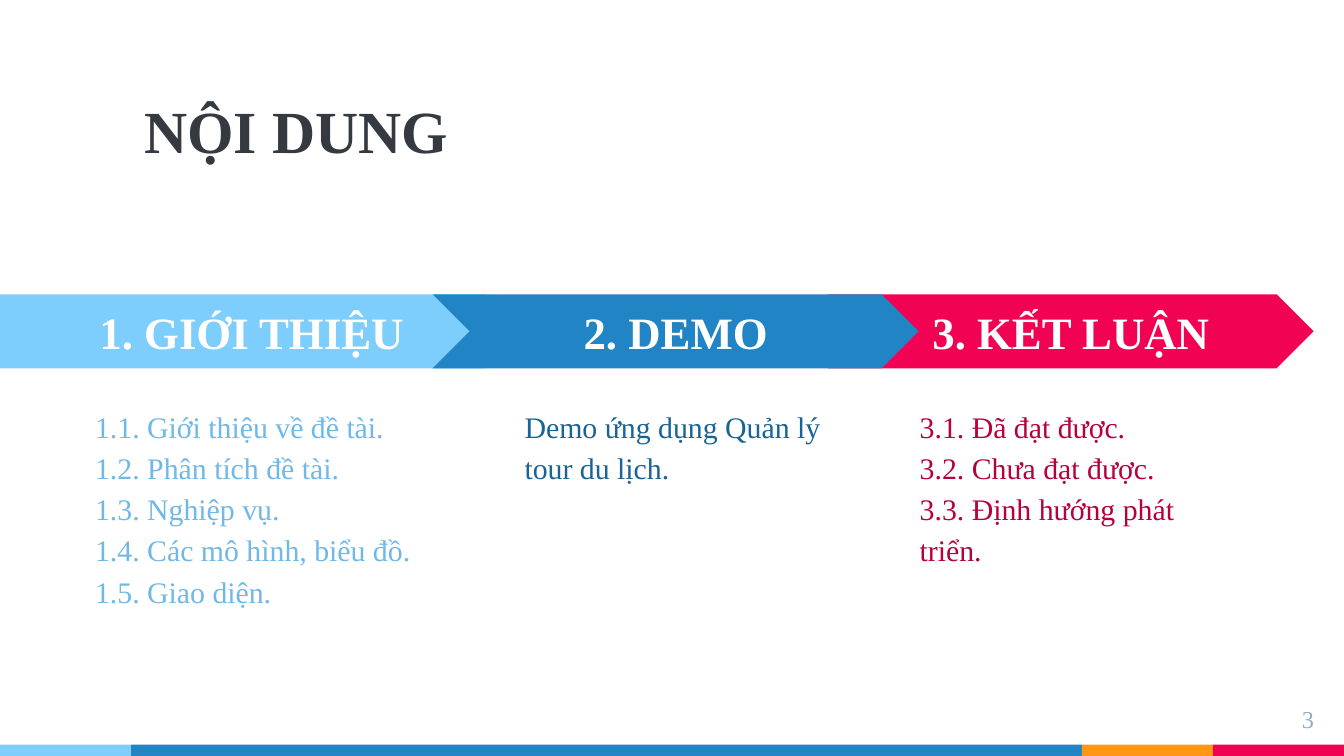
from pptx import Presentation
from pptx.dml.color import RGBColor
from pptx.enum.shapes import MSO_SHAPE
from pptx.enum.text import MSO_ANCHOR, PP_ALIGN
from pptx.util import Emu, Pt

PX = 4572
W, H = 2000, 1125
FONT = "Times New Roman"
COLORS = {
    "sky": "7ECEFD", "blue": "2185C5", "orange": "FF9715", "red": "F20253",
    "sky_text": "6FB8E7", "blue_text": "196494", "red_text": "B5013E",
    "title": "343A40", "number": "97ABBC", "white": "FFFFFF",
}


def rgb(name):
    """Return the named colour."""
    return RGBColor.from_string(COLORS[name])


def box_emu(box):
    """Turn a box in px into EMU lengths."""
    return [Emu(v * PX) for v in box]


def add_block(s, kind, box, color):
    """Add a flat filled shape without line or shadow."""
    sp = s.shapes.add_shape(kind, *box_emu(box))
    sp.shadow.inherit = False
    sp.fill.solid()
    sp.fill.fore_color.rgb = rgb(color)
    sp.line.fill.background()
    return sp


def write(sp, lines, size, color, bold=False, align=PP_ALIGN.LEFT,
          anchor=MSO_ANCHOR.TOP, spacing=None):
    """Write one paragraph per line into a shape."""
    tf = sp.text_frame
    tf.word_wrap = True
    tf.vertical_anchor = anchor
    tf.margin_left = tf.margin_right = tf.margin_top = tf.margin_bottom = Emu(20 * PX)
    for i, line in enumerate(lines):
        p = tf.paragraphs[0] if i == 0 else tf.add_paragraph()
        p.alignment = align
        if spacing:
            p.line_spacing = spacing
        r = p.add_run()
        r.text = line
        r.font.name = FONT
        r.font.size = Pt(size)
        r.font.bold = bold
        r.font.color.rgb = rgb(color)


def add_footer_bar(s, box):
    """Draw the strip of colour bands along the bottom."""
    x, y, w, h = box
    end = 195
    bands = [("sky", end), ("blue", w - 3 * end), ("orange", end), ("red", end)]
    for color, width in bands:
        add_block(s, MSO_SHAPE.RECTANGLE, (x, y, width, h), color)
        x += width


def add_title(s, box, text):
    """Add the slide title."""
    sp = s.shapes.add_textbox(*box_emu(box))
    write(sp, [text], 32, "title", bold=True, anchor=MSO_ANCHOR.BOTTOM)


def add_section(s, box, kind, color, heading, indent, text_w, lines):
    """Add an arrow heading with its list of points below."""
    x, y, w, h = box
    arrow_h = 110
    sp = add_block(s, kind, (x, y, w, arrow_h), color)
    sp.adjustments[0] = 0.5
    write(sp, [heading], 24, "white", bold=True, align=PP_ALIGN.CENTER,
          anchor=MSO_ANCHOR.MIDDLE)
    top = arrow_h + 32
    sp = s.shapes.add_textbox(*box_emu((x + indent, y + top, text_w, h - top)))
    write(sp, lines, 16, color + "_text", spacing=1.15)


def add_page_number(s, box, text):
    """Add the page number."""
    sp = s.shapes.add_textbox(*box_emu(box))
    write(sp, [text], 13, "number", align=PP_ALIGN.RIGHT)


def main():
    """Build the contents slide and save it."""
    prs = Presentation()
    prs.slide_width, prs.slide_height = Emu(W * PX), Emu(H * PX)
    s = prs.slides.add_slide(prs.slide_layouts[6])
    add_footer_bar(s, (0, H - 17, W, 17))
    add_title(s, (195, 78, 1415, 188), "NỘI DUNG")
    y, h, step = 438, 572, 588
    blue_x, chevron_w = 644, 723
    add_section(s, (blue_x + step, y, chevron_w, h), MSO_SHAPE.CHEVRON, "red",
                "3. KẾT LUẬN", 117, 490,
                ["3.1. Đã đạt được.", "3.2. Chưa đạt được.",
                 "3.3. Định hướng phát triển."])
    add_section(s, (0, y, 776, h), MSO_SHAPE.PENTAGON, "sky",
                "1. GIỚI THIỆU", 122, 512,
                ["1.1. Giới thiệu về đề tài.", "1.2. Phân tích đề tài.",
                 "1.3. Nghiệp vụ.", "1.4. Các mô hình, biểu đồ.",
                 "1.5. Giao diện."])
    add_section(s, (blue_x, y, chevron_w, h), MSO_SHAPE.CHEVRON, "blue",
                "2. DEMO", 117, 490, ["Demo ứng dụng Quản lý tour du lịch."])
    add_page_number(s, (1855, 1028, 120, 68), "3")
    prs.save("out.pptx")


if __name__ == "__main__":
    main()
